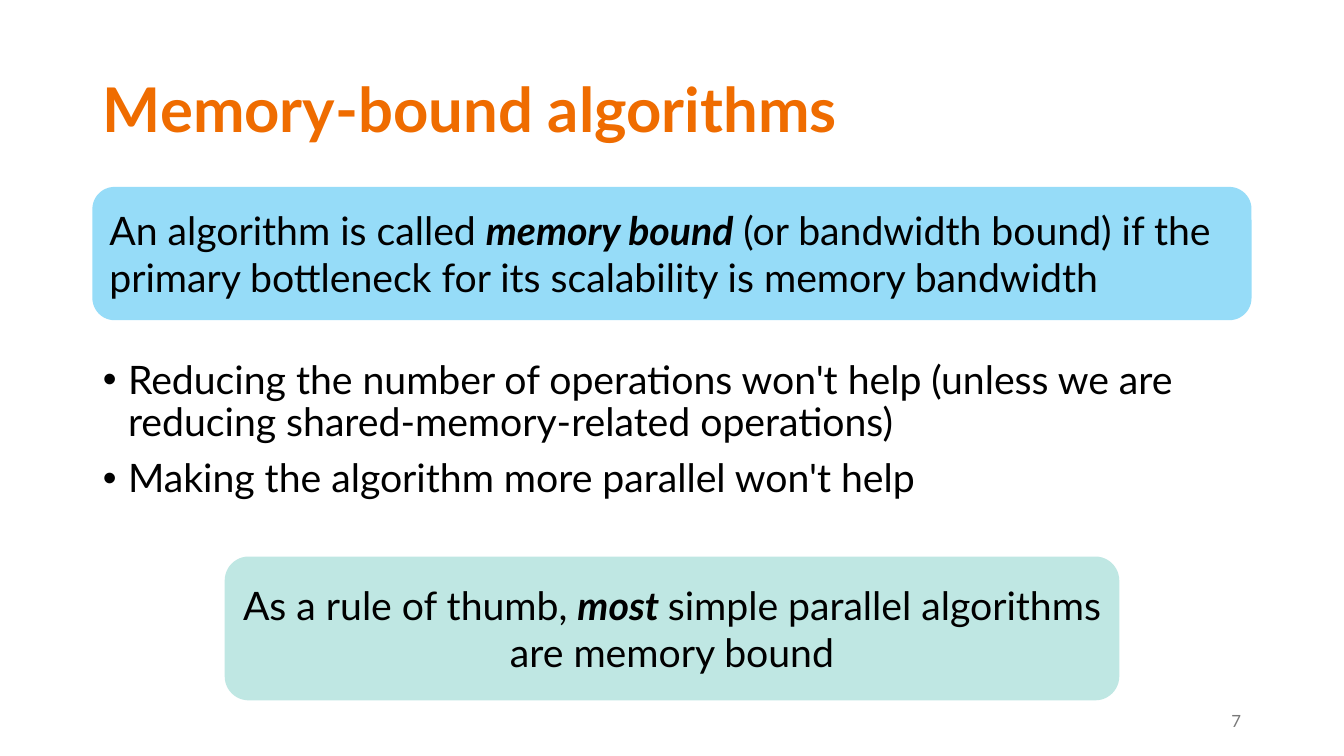
from lxml import etree
from pptx import Presentation
from pptx.dml.color import RGBColor
from pptx.enum.shapes import MSO_SHAPE as Shape
from pptx.enum.text import MSO_ANCHOR as Anchor, PP_ALIGN as Align
from pptx.oxml.ns import qn
from pptx.util import Pt

PX = 9525  # EMU per pixel, 96 pixels to the inch
FONT = "Lato"
COLORS = {
    "title": "EF6C00",
    "text": "000000",
    "number": "797979",
    "definition": "96DCF8",
    "rule": "BFE7E3",
}


def px(*lengths):
    return [length * PX for length in lengths]


def add_bullet(paragraph, indent):
    properties = paragraph._p.get_or_add_pPr()
    properties.set("marL", str(indent * PX))
    properties.set("indent", str(-indent * PX))
    font = etree.SubElement(properties, qn("a:buFont"))
    font.set("typeface", "Arial")
    etree.SubElement(properties, qn("a:buChar")).set("char", "•")


def write_text(shape, paragraphs, size=28, color="text", bold=False,
               align=Align.LEFT, anchor=Anchor.MIDDLE, inset=5,
               line_spacing=None, space_before=None, bullet_indent=None):
    """Write paragraphs, each a list of runs; every second run is emphasized."""
    frame = shape.text_frame
    frame.word_wrap = True
    frame.vertical_anchor = anchor
    frame.margin_left, frame.margin_right = px(10, 10)
    frame.margin_top, frame.margin_bottom = px(inset, inset)
    for index, runs in enumerate(paragraphs):
        paragraph = frame.add_paragraph() if index else frame.paragraphs[0]
        paragraph.alignment = align
        if line_spacing:
            paragraph.line_spacing = line_spacing
        if space_before:
            paragraph.space_before = Pt(space_before)
        if bullet_indent:
            add_bullet(paragraph, bullet_indent)
        for position, text in enumerate(runs):
            run = paragraph.add_run()
            run.text = text
            emphasized = position % 2 == 1
            run.font.name = FONT
            run.font.size = Pt(size)
            run.font.bold = bold or emphasized
            run.font.italic = emphasized
            run.font.color.rgb = RGBColor.from_string(COLORS[color])


def add_text(slide, box, paragraphs, **text_format):
    write_text(slide.shapes.add_textbox(*px(*box)), paragraphs, **text_format)


def add_callout(slide, box, fill, runs, align=Align.LEFT):
    shape = slide.shapes.add_shape(Shape.ROUNDED_RECTANGLE, *px(*box))
    shape.shadow.inherit = False
    shape.fill.solid()
    shape.fill.fore_color.rgb = RGBColor.from_string(COLORS[fill])
    shape.line.fill.background()
    write_text(shape, [runs], align=align, inset=10)


def add_memory_bound_slide(presentation, box):
    slide = presentation.slides.add_slide(presentation.slide_layouts[6])
    left, top, width, height = box

    # Title
    add_text(slide, (left, top, width, 139), [["Memory-bound algorithms"]],
             size=44, color="title", bold=True, line_spacing=0.9)

    # Bullets
    add_text(slide, (left, top + 300, width, 168), [
        ["Reducing the number of operations won't help "
         "(unless we are reducing shared-memory-related operations)"],
        ["Making the algorithm more parallel won't help"],
    ], anchor=Anchor.TOP, line_spacing=0.9, space_before=10, bullet_indent=24)

    # Slide number
    add_text(slide, (left + width - 288, top + height - 38, 288, 38), [["7"]],
             size=12, color="number", align=Align.RIGHT)

    # Definition
    add_callout(slide, (left, top + 140, width, 127), "definition", [
        "An algorithm is called ", "memory bound",
        " (or bandwidth bound) if the primary bottleneck "
        "for its scalability is memory bandwidth"])

    # Rule of thumb, centred below the bullets
    rule_width = 852
    rule_left = left + (width - rule_width) // 2
    add_callout(slide, (rule_left, top + 492, rule_width, 137), "rule", [
        "As a rule of thumb, ", "most ",
        "simple parallel algorithms are memory bound"], align=Align.CENTER)


def main():
    presentation = Presentation()
    presentation.slide_width, presentation.slide_height = px(1280, 720)
    add_memory_bound_slide(presentation, (88, 38, 1104, 667))
    presentation.save("out.pptx")


if __name__ == "__main__":
    main()
